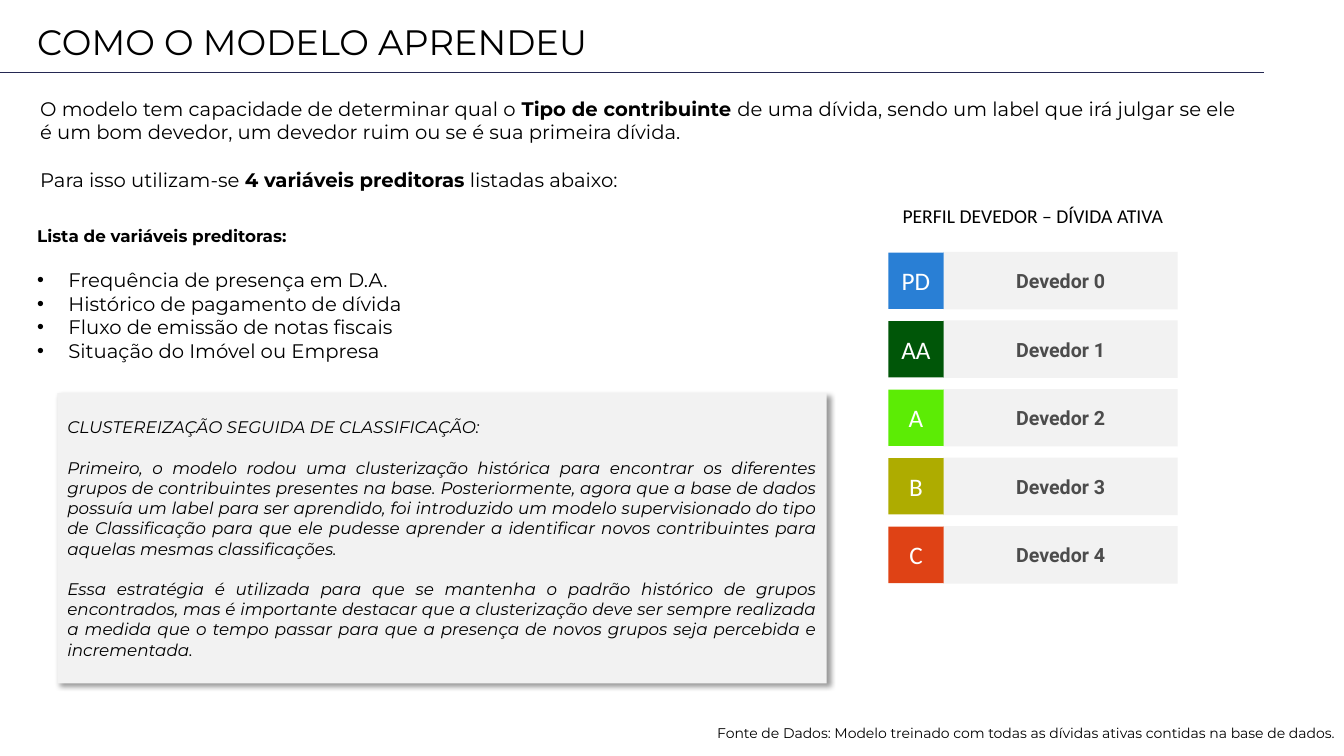
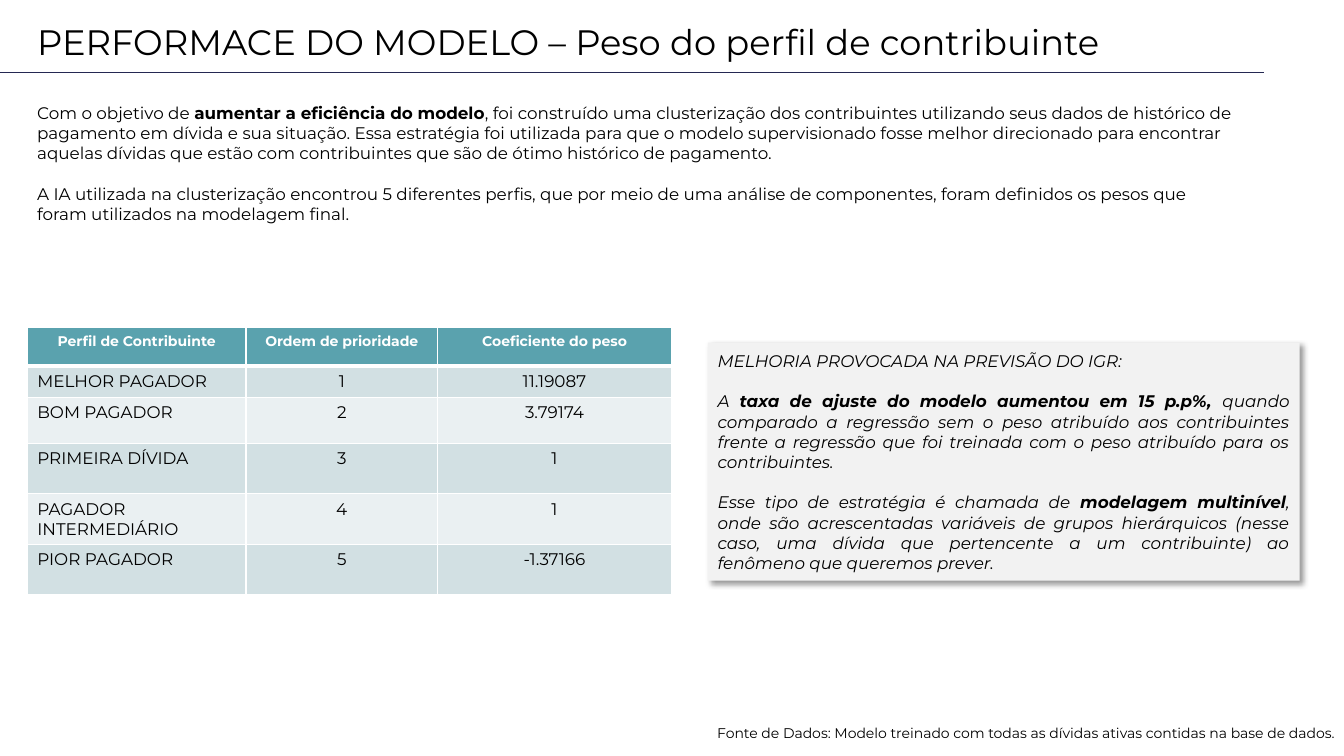
from lxml import etree
from pptx import Presentation
from pptx.dml.color import RGBColor
from pptx.enum import shapes, text
from pptx.oxml import ns
from pptx.util import Inches, Pt

COLORS = {
    "ink": "000000", "white": "FFFFFF", "rule": "242852", "panel": "F2F2F2",
    "label": "4C4C4C", "header": "5AA2AE", "band_dark": "D2E0E3", "band_light": "EAF0F2",
    "PD": "297FD5", "AA": "005608", "A": "5CEC05", "B": "AEAC00", "C": "DF4215",
}
LEFT, CENTER, RIGHT, JUSTIFY = (
    text.PP_ALIGN.LEFT, text.PP_ALIGN.CENTER, text.PP_ALIGN.RIGHT, text.PP_ALIGN.JUSTIFY)
SOURCE = "Fonte de Dados: Modelo treinado com todas as dívidas ativas contidas na base de dados."

INTRO = [
    "O modelo tem capacidade de determinar qual o **Tipo de contribuinte **de uma dívida, sendo um "
    "label que irá julgar se ele é um bom devedor, um devedor ruim ou se é sua primeira dívida.",
    "Para isso utilizam-se **4 variáveis preditoras** listadas abaixo:",
]
PREDICTORS = [
    "Frequência de presença em D.A.",
    "Histórico de pagamento de dívida",
    "Fluxo de emissão de notas fiscais",
    "Situação do Imóvel ou Empresa",
]
CLUSTERING = [
    "CLUSTEREIZAÇÃO SEGUIDA DE CLASSIFICAÇÃO:",
    "Primeiro, o modelo rodou uma clusterização histórica para encontrar os diferentes grupos de "
    "contribuintes presentes na base. Posteriormente, agora que a base de dados possuía um label para "
    "ser aprendido, foi introduzido um modelo supervisionado do tipo de Classificação para que ele "
    "pudesse aprender a identificar novos contribuintes para aquelas mesmas classificações.",
    "Essa estratégia é utilizada para que se mantenha o padrão histórico de grupos encontrados, mas é "
    "importante destacar que a clusterização deve ser sempre realizada a medida que o tempo passar para "
    "que a presença de novos grupos seja percebida e incrementada.",
]
OBJECTIVE = [
    "Com o objetivo de **aumentar a eficiência do modelo**, foi construído uma clusterização dos "
    "contribuintes utilizando seus dados de histórico de pagamento em dívida e sua situação. Essa "
    "estratégia foi utilizada para que o modelo supervisionado fosse melhor direcionado para encontrar "
    "aquelas dívidas que estão com contribuintes que são de ótimo histórico de pagamento.",
    "A IA utilizada na clusterização encontrou 5 diferentes perfis, que por meio de uma análise de "
    "componentes, foram definidos os pesos que foram utilizados na modelagem final.",
]
IMPROVEMENT = [
    "MELHORIA PROVOCADA NA PREVISÃO DO IGR:",
    "A **taxa de ajuste do modelo aumentou em 15 p.p%, **quando comparado a regressão sem o peso "
    "atribuído aos contribuintes frente a regressão que foi treinada com o peso atribuído para os "
    "contribuintes.",
    "Esse tipo de estratégia é chamada de **modelagem multinível**, onde são acrescentadas variáveis de "
    "grupos hierárquicos (nesse caso, uma dívida que pertencente a um contribuinte) ao fenômeno que "
    "queremos prever.",
]
WEIGHTS = [
    ("Perfil de Contribuinte", "Ordem de prioridade", "Coeficiente do peso"),
    ("MELHOR PAGADOR", "1", "11.19087"),
    ("BOM PAGADOR", "2", "3.79174"),
    ("PRIMEIRA DÍVIDA", "3", "1"),
    ("PAGADOR INTERMEDIÁRIO", "4", "1"),
    ("PIOR PAGADOR", "5", "-1.37166"),
]


def rgb(name):
    return RGBColor.from_string(COLORS[name])


def child(parent, tag, **attributes):
    element = etree.SubElement(parent, ns.qn(tag))
    for key, value in attributes.items():
        element.set(key, str(value))
    return element


def add_bullet(paragraph):
    properties = paragraph._p.get_or_add_pPr()
    properties.set("marL", str(Inches(0.31)))
    properties.set("indent", str(-Inches(0.31)))
    child(properties, "a:buFont", typeface="Arial")
    child(properties, "a:buChar", char="•")


def write(frame, paragraphs, size=12, font="Montserrat", color="ink", bold=False, italic=False,
          align=LEFT, gap=0, bullets=False):
    for index, content in enumerate(paragraphs):
        paragraph = frame.add_paragraph() if index else frame.paragraphs[0]
        paragraph.alignment = align
        paragraph.space_before = Pt(gap if index else 0)
        if bullets:
            add_bullet(paragraph)
        for part, words in enumerate(content.split("**")):
            if not words:
                continue
            run = paragraph.add_run()
            run.text = words
            run.font.size = Pt(size)
            run.font.name = font
            run.font.bold = bold or part % 2 == 1
            run.font.italic = italic
            run.font.color.rgb = rgb(color)


def text_box(slide, box, paragraphs, anchor=text.MSO_ANCHOR.TOP, **style):
    frame = slide.shapes.add_textbox(*map(Inches, box)).text_frame
    frame.word_wrap = True
    frame.vertical_anchor = anchor
    write(frame, paragraphs, **style)


def block(slide, box, fill, paragraphs, kind=shapes.MSO_SHAPE.RECTANGLE, **style):
    shape = slide.shapes.add_shape(kind, *map(Inches, box))
    shape.fill.solid()
    shape.fill.fore_color.rgb = rgb(fill)
    shape.line.fill.background()
    shape.shadow.inherit = False
    shape.text_frame.word_wrap = True
    shape.text_frame.vertical_anchor = text.MSO_ANCHOR.MIDDLE
    write(shape.text_frame, paragraphs, **style)
    return shape


def shadowed_panel(slide, box, paragraphs):
    panel = block(slide, box, "panel", paragraphs, italic=True, align=JUSTIFY, gap=14.6)
    effects = panel._element.spPr.find(ns.qn("a:effectLst"))
    shadow = child(effects, "a:outerShdw", blurRad=Pt(4), dist=Pt(3), dir=45 * 60000,
                   algn="tl", rotWithShape=0)
    child(child(shadow, "a:srgbClr", val=COLORS["ink"]), "a:alpha", val=40000)


def base_slide(deck, title):
    slide = deck.slides.add_slide(deck.slide_layouts[6])
    rule = slide.shapes.add_connector(
        shapes.MSO_CONNECTOR.STRAIGHT, *map(Inches, (0, 0.72, 12.54, 0.72)))
    rule.line.color.rgb = rgb("rule")
    rule.line.width = Pt(0.5)
    child(rule._element.spPr, "a:effectLst")
    text_box(slide, (0.27, 0.19, 11.91, 0.44), [title], anchor=text.MSO_ANCHOR.MIDDLE, size=25.2)
    text_box(slide, (2.25, 7.14, 11.08, 0.27), [SOURCE], size=10, align=RIGHT)
    return slide


def debtor_scale(slide, left, top, width):
    text_box(slide, (left, top, width, 0.34), ["PERFIL DEVEDOR – DÍVIDA ATIVA"],
             size=14, font="Calibri", align=CENTER)
    tag_width, height, pitch = 0.55, 0.57, 0.68
    for level, grade in enumerate(("PD", "AA", "A", "B", "C")):
        y = top + 0.53 + level * pitch
        block(slide, (left + tag_width, y, width - tag_width, height), "panel",
              [f"Devedor {level}"], size=14, font="Roboto", color="label", bold=True, align=CENTER)
        tag = block(slide, (left, y, tag_width, height), grade, [grade],
                    kind=shapes.MSO_SHAPE.RIGHT_ARROW, size=18, font="Calibri", color="white",
                    align=CENTER)
        tag.adjustments[0], tag.adjustments[1] = 0.98, 0
        frame = tag.text_frame
        frame.margin_left = frame.margin_right = frame.margin_top = frame.margin_bottom = 0


def border_cell(cell, bottom, top):
    properties = cell._tc.get_or_add_tcPr()
    widths = {"a:lnL": 1, "a:lnR": 1, "a:lnT": top, "a:lnB": bottom}
    for position, (side, width) in enumerate(widths.items()):
        line = child(properties, side, w=Pt(width))
        child(child(line, "a:solidFill"), "a:srgbClr", val=COLORS["white"])
        properties.insert(position, line)


def weights_table(slide, left, top):
    widths = (2.17, 1.9, 2.32)
    heights = (0.38, 0.31, 0.46, 0.5, 0.5, 0.5)
    box = (left, top, sum(widths), sum(heights))
    table = slide.shapes.add_table(len(heights), len(widths), *map(Inches, box)).table
    for column, width in zip(table.columns, widths):
        column.width = Inches(width)
    for row, (height, values) in enumerate(zip(heights, WEIGHTS)):
        table.rows[row].height = Inches(height)
        is_header = row == 0
        fill = "header" if is_header else ("band_light", "band_dark")[row % 2]
        for column, value in enumerate(values):
            cell = table.cell(row, column)
            cell.fill.solid()
            cell.fill.fore_color.rgb = rgb(fill)
            border_cell(cell, bottom=3 if is_header else 1, top=3 if row == 1 else 1)
            write(cell.text_frame, [value], size=10 if is_header else 12,
                  color="white" if is_header else "ink", bold=is_header,
                  align=CENTER if is_header or column else LEFT)


def learning_slide(deck):
    slide = base_slide(deck, "COMO O MODELO APRENDEU")
    text_box(slide, (0.3, 0.91, 12.06, 1.04), INTRO, size=14, align=JUSTIFY, gap=17)
    text_box(slide, (0.27, 2.19, 7.19, 0.5), ["Lista de variáveis preditoras:"], bold=True)
    text_box(slide, (0.27, 2.61, 4.9, 1.04), PREDICTORS, size=14, bullets=True)
    shadowed_panel(slide, (0.57, 3.9, 7.63, 2.88), CLUSTERING)
    debtor_scale(slide, 8.81, 1.97, 2.87)


def performance_slide(deck):
    slide = base_slide(deck, "PERFORMACE DO MODELO – Peso do perfil de contribuinte")
    text_box(slide, (0.27, 0.97, 12.08, 1.31), OBJECTIVE, gap=14.6)
    weights_table(slide, 0.27, 3.25)
    shadowed_panel(slide, (7.02, 3.4, 5.87, 2.36), IMPROVEMENT)


def main():
    deck = Presentation()
    deck.slide_width, deck.slide_height = Inches(13.33), Inches(7.5)
    learning_slide(deck)
    performance_slide(deck)
    deck.save("out.pptx")


if __name__ == "__main__":
    main()
